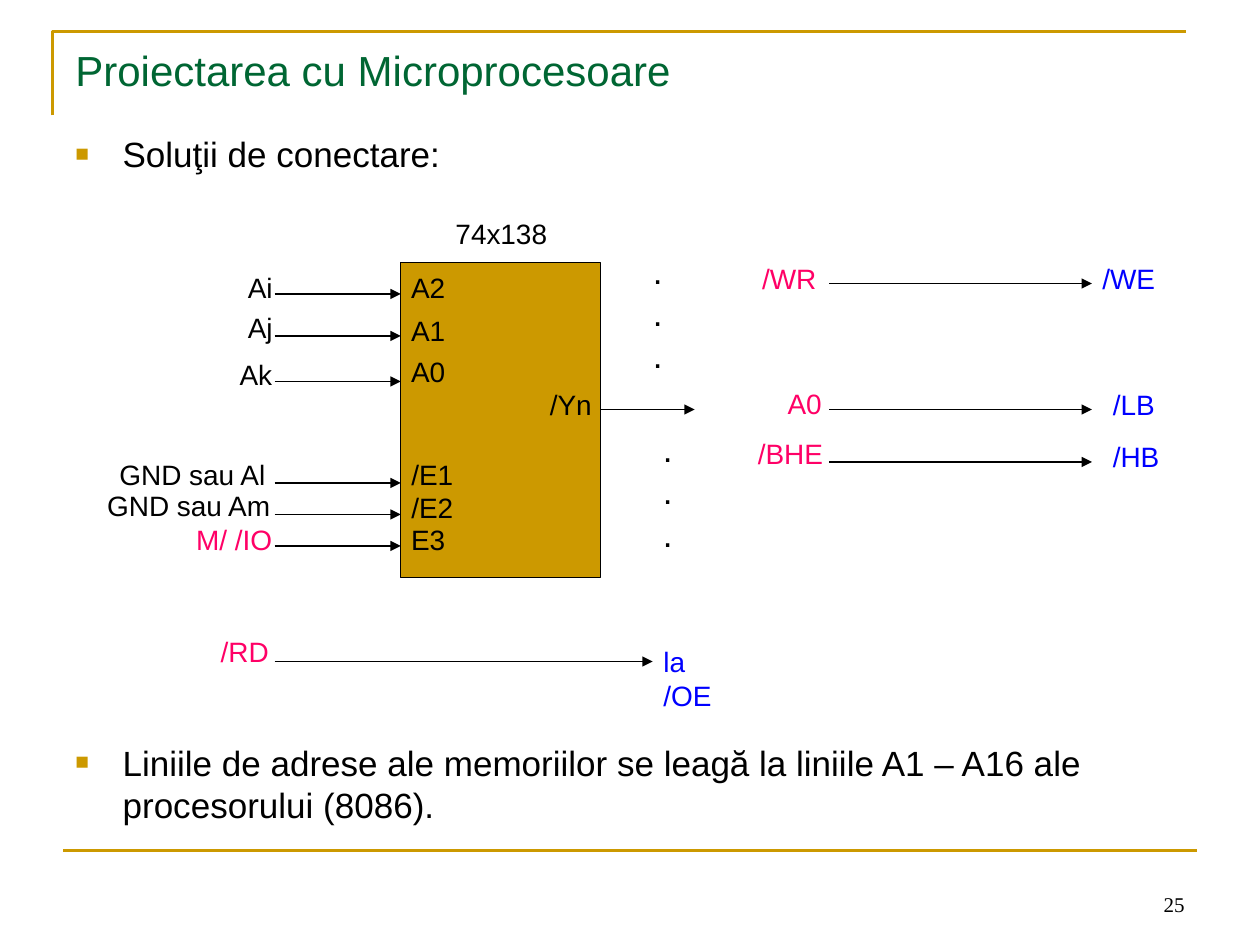
from dataclasses import dataclass

from lxml import etree
from pptx import Presentation, util as u
from pptx.dml.color import RGBColor
from pptx.enum import shapes, text
from pptx.oxml import ns

Pt = u.Pt


@dataclass(frozen=True)
class Theme:
    gold: str = "CC9900"
    green: str = "006633"
    black: str = "000000"
    pink: str = "FF0066"
    blue: str = "0000FF"
    sans: str = "Arial"
    serif: str = "Times New Roman"
    title: float = 24
    body: float = 20
    label: float = 16
    number: float = 12
    rule: float = 1.5
    wire: float = 0.75


THEME = Theme()


@dataclass(frozen=True)
class Label:
    content: str
    left: float
    top: float
    width: float
    color: str = THEME.black
    size: float = THEME.label
    height: float = 26.6


@dataclass(frozen=True)
class Wire:
    start: float
    end: float
    y: float


CHIP_LEFT, CHIP_TOP, CHIP_WIDTH, CHIP_HEIGHT = 229, 150, 114, 180
CHIP_RIGHT = CHIP_LEFT + CHIP_WIDTH
INPUT_START = 157
SIGNAL_START, SIGNAL_END = 474, 624

WIRES = [
    *(Wire(INPUT_START, CHIP_LEFT, y) for y in (168, 192, 218, 276, 294, 312)),
    Wire(CHIP_RIGHT, 397, 234),
    Wire(INPUT_START, 373, 378),
    *(Wire(SIGNAL_START, SIGNAL_END, y) for y in (162, 234, 264)),
]

DOTS = ".\n.\n."
LABELS = [
    Label(DOTS, 366, 139, 20, size=THEME.body, height=79),
    Label(DOTS, 371.8, 241, 20, size=THEME.body, height=79),
    Label("74x138", 253.2, 120, 68),
    # Pins of the decoder
    Label("A2", 227.8, 150.8, 35),
    Label("A1", 227.8, 175.5, 35),
    Label("A0", 227.8, 199, 35),
    Label("/E1", 228, 257.8, 39),
    Label("/E2", 228, 276.8, 39),
    Label("E3", 227.8, 294.8, 35),
    Label("/Yn", 307.2, 217.8, 39),
    # Signals entering the decoder
    Label("Ai", 134.6, 150.8, 30),
    Label("Aj", 134.6, 173.8, 30),
    Label("Ak", 129.8, 200.8, 34),
    Label("GND sau Al", 61.2, 258, 100),
    Label("GND sau Am", 54.2, 275.8, 109),
    Label("M/ /IO", 105, 295, 59, THEME.pink),
    Label("/RD", 119, 358.8, 43, THEME.pink),
    Label("la\n/OE", 372, 364.8, 43, THEME.blue, height=46),
    # Processor signals and memory inputs
    Label("/WR", 428.4, 145.8, 47, THEME.pink),
    Label("A0", 443, 217.2, 35, THEME.pink),
    Label("/BHE", 426, 245.8, 53, THEME.pink),
    Label("/WE", 622.8, 145.8, 46, THEME.blue),
    Label("/LB", 628.8, 217.8, 40, THEME.blue),
    Label("/HB", 628.8, 247.8, 43, THEME.blue),
]


def rgb(value: str) -> RGBColor:
    return RGBColor.from_string(value)


def set_line(shape, color: str, width: float) -> None:
    shape.line.color.rgb = rgb(color)
    shape.line.width = Pt(width)


def add_text(slide, label: Label, font: str = THEME.sans, wrap: bool = False):
    """Add a text box; one that does not wrap grows with its text."""
    box = slide.shapes.add_textbox(
        Pt(label.left), Pt(label.top), Pt(label.width), Pt(label.height)
    )
    frame = box.text_frame
    frame.word_wrap = wrap
    if not wrap:
        frame.auto_size = text.MSO_AUTO_SIZE.SHAPE_TO_FIT_TEXT
    frame.text = label.content
    for paragraph in frame.paragraphs:
        for run in paragraph.runs:
            run.font.name = font
            run.font.size = Pt(label.size)
            run.font.color.rgb = rgb(label.color)
    return frame


def add_bullet(slide, content: str, top: float, height: float) -> None:
    label = Label(content, 36, top, 648, size=THEME.body, height=height)
    frame = add_text(slide, label, wrap=True)
    properties = frame.paragraphs[0]._p.get_or_add_pPr()
    properties.set("marL", str(Pt(27)))
    properties.set("indent", str(-Pt(27)))
    color = etree.SubElement(properties, ns.qn("a:buClr"))
    etree.SubElement(color, ns.qn("a:srgbClr"), val=THEME.gold)
    etree.SubElement(properties, ns.qn("a:buSzPct"), val="65000")
    etree.SubElement(properties, ns.qn("a:buFont"), typeface=THEME.sans)
    etree.SubElement(properties, ns.qn("a:buChar"), char="■")


def add_line(slide, wire: Wire, color: str, width: float, arrow: bool) -> None:
    connector = slide.shapes.add_connector(
        shapes.MSO_CONNECTOR.STRAIGHT,
        Pt(wire.start), Pt(wire.y), Pt(wire.end), Pt(wire.y),
    )
    set_line(connector, color, width)
    if arrow:
        line = connector.line._get_or_add_ln()
        etree.SubElement(line, ns.qn("a:tailEnd"), type="triangle")
    etree.SubElement(connector._element.spPr, ns.qn("a:effectLst"))


def add_frame(slide) -> None:
    """Draw the corner rule around the title and the rule at the foot."""
    builder = slide.shapes.build_freeform(Pt(30), Pt(66))
    builder.add_line_segments([(Pt(30), Pt(18)), (Pt(678), Pt(18))], close=False)
    corner = builder.convert_to_shape()
    corner.shadow.inherit = False
    corner.fill.background()
    set_line(corner, THEME.gold, THEME.rule)
    add_line(slide, Wire(36, 684, 486), THEME.gold, THEME.rule, arrow=False)


def add_chip(slide) -> None:
    chip = slide.shapes.add_shape(
        shapes.MSO_SHAPE.RECTANGLE,
        Pt(CHIP_LEFT), Pt(CHIP_TOP), Pt(CHIP_WIDTH), Pt(CHIP_HEIGHT),
    )
    chip.shadow.inherit = False
    chip.fill.solid()
    chip.fill.fore_color.rgb = rgb(THEME.gold)
    set_line(chip, THEME.black, THEME.wire)


def main() -> None:
    presentation = Presentation()
    presentation.slide_width, presentation.slide_height = Pt(720), Pt(540)
    slide = presentation.slides.add_slide(presentation.slide_layouts[6])

    add_frame(slide)
    number = Label("25", 516, 491.6, 168, size=THEME.number, height=36)
    frame = add_text(slide, number, THEME.serif, wrap=True)
    frame.vertical_anchor = text.MSO_ANCHOR.BOTTOM
    frame.paragraphs[0].alignment = text.PP_ALIGN.RIGHT

    title = Label("Proiectarea cu Microprocesoare", 36, 17.8, 648,
                  THEME.green, THEME.title, 44)
    add_text(slide, title, wrap=True).vertical_anchor = text.MSO_ANCHOR.MIDDLE
    add_bullet(slide, "Soluţii de conectare:", 72, 32)
    add_bullet(slide, "Liniile de adrese ale memoriilor se leagă la liniile "
                      "A1 – A16 ale procesorului (8086).", 420, 56)

    add_chip(slide)
    for wire in WIRES:
        add_line(slide, wire, THEME.black, THEME.wire, arrow=True)
    for label in LABELS:
        add_text(slide, label)

    presentation.save("out.pptx")


if __name__ == "__main__":
    main()
